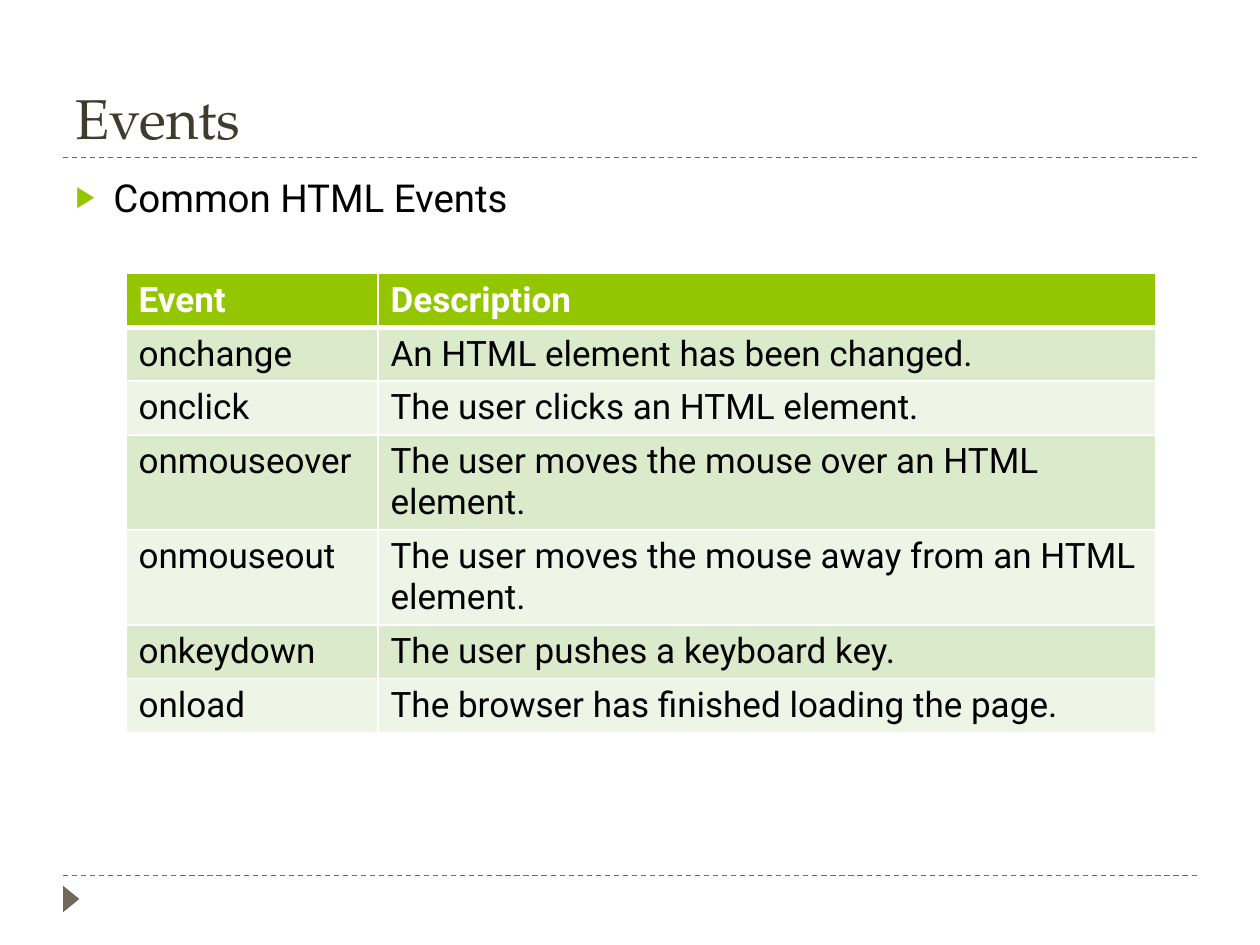
import pptx
import pptx.util
import pptx.dml.color
import pptx.enum.dml
import pptx.enum.shapes
import pptx.enum.text
import pptx.oxml
import pptx.oxml.ns
from pptx.util import Inches

ROWS = [
    ("Event", "Description"),
    ("onchange", "An HTML element has been changed."),
    ("onclick", "The user clicks an HTML element."),
    ("onmouseover", "The user moves the mouse over an HTML element."),
    ("onmouseout", "The user moves the mouse away from an HTML element."),
    ("onkeydown", "The user pushes a keyboard key."),
    ("onload", "The browser has finished loading the page."),
]


def color(code):
    return pptx.dml.color.RGBColor.from_string(code)


def node(tag, body="", **attrs):
    pairs = " ".join(f'{key}="{val}"' for key, val in attrs.items())
    space = pptx.oxml.ns.nsdecls("a")
    return pptx.oxml.parse_xml(f"<a:{tag} {space} {pairs}>{body}</a:{tag}>")


class Page:
    serif = "TeX Gyre Pagella"
    sans = "Roboto"
    green = "94C600"
    brown = "71685A"
    olive = "3E3D2D"
    black = "000000"
    white = "FFFFFF"
    bands = ("EEF5E7", "DCEACC")

    def __init__(self, deck):
        self.slide = deck.slides.add_slide(deck.slide_layouts[1])

    def label(self, frame, text, face, size, tone, bold=False):
        frame.text = text
        para = frame.paragraphs[0]
        para.alignment = pptx.enum.text.PP_ALIGN.LEFT
        para.space_before = pptx.util.Pt(0)
        font = para.runs[0].font
        font.name = face
        font.size = pptx.util.Pt(size)
        font.bold = bold
        font.color.rgb = color(tone)
        return para

    def place(self, shape, left, top, width, height):
        shape.left, shape.top = Inches(left), Inches(top)
        shape.width, shape.height = Inches(width), Inches(height)
        shape.text_frame.auto_size = pptx.enum.text.MSO_AUTO_SIZE.NONE
        shape.text_frame.word_wrap = True
        return shape.text_frame

    def title(self, text):
        frame = self.place(self.slide.shapes.title, 0.5, 0.17, 7.08, 1.08)
        frame.vertical_anchor = pptx.enum.text.MSO_ANCHOR.BOTTOM
        self.label(frame, text, self.serif, 32, self.olive)

    def bullet(self, text):
        frame = self.place(self.slide.placeholders[1], 0.5, 1.33, 9, 5.4)
        para = self.label(frame, text, self.sans, 22, self.black)
        props = para._p.get_or_add_pPr()
        props.set("marL", str(Inches(0.3)))
        props.set("indent", str(-Inches(0.3)))
        props.append(node("buClr", f'<a:srgbClr val="{self.green}"/>'))
        props.append(node("buSzPct", val=76000))
        props.append(node("buFont", typeface="Arial"))
        props.append(node("buChar", char="▶"))

    def rule(self, top):
        line = self.slide.shapes.add_connector(
            pptx.enum.shapes.MSO_CONNECTOR.STRAIGHT,
            Inches(0.5), Inches(top), Inches(9.5), Inches(top))
        line.line.color.rgb = color(self.brown)
        line.line.width = pptx.util.Pt(0.75)
        line.line.dash_style = pptx.enum.dml.MSO_LINE.DASH
        line._element.spPr.append(node("effectLst"))

    def marker(self):
        mark = self.slide.shapes.add_shape(
            pptx.enum.shapes.MSO_SHAPE.ISOSCELES_TRIANGLE,
            Inches(0.46), Inches(7.07), Inches(0.21), Inches(0.13))
        mark.rotation = 90
        mark.shadow.inherit = False
        mark.fill.solid()
        mark.fill.fore_color.rgb = color(self.brown)
        mark.line.fill.background()

    def border(self, cell, head, below):
        props = cell._tc.get_or_add_tcPr()
        body = f'<a:solidFill><a:srgbClr val="{self.white}"/></a:solidFill>'
        widths = {"lnL": 1, "lnR": 1, "lnT": 3 if below else 1,
                  "lnB": 3 if head else 1}
        for spot, (tag, width) in enumerate(widths.items()):
            props.insert(spot, node(tag, body, w=pptx.util.Pt(width)))

    def table(self, rows):
        grid = self.slide.shapes.add_table(
            len(rows), 2, Inches(1), Inches(2.17),
            Inches(8.17), Inches(0.41 * len(rows))).table
        for col, width in zip(grid.columns, (2, 6.17)):
            col.width = Inches(width)
        for i, row in enumerate(rows):
            grid.rows[i].height = Inches(0.41)
            head = i == 0
            fill = self.green if head else self.bands[i % 2]
            tone = self.white if head else self.black
            for j, text in enumerate(row):
                cell = grid.cell(i, j)
                cell.fill.solid()
                cell.fill.fore_color.rgb = color(fill)
                self.label(cell.text_frame, text, self.sans, 20, tone, head)
                self.border(cell, head, i == 1)


def main():
    deck = pptx.Presentation()
    deck.slide_width, deck.slide_height = Inches(10), Inches(7.5)
    page = Page(deck)
    for top in (6.95, 1.25):
        page.rule(top)
    page.marker()
    page.title("Events")
    page.bullet("Common HTML Events")
    page.table(ROWS)
    deck.save("out.pptx")


if __name__ == "__main__":
    main()
